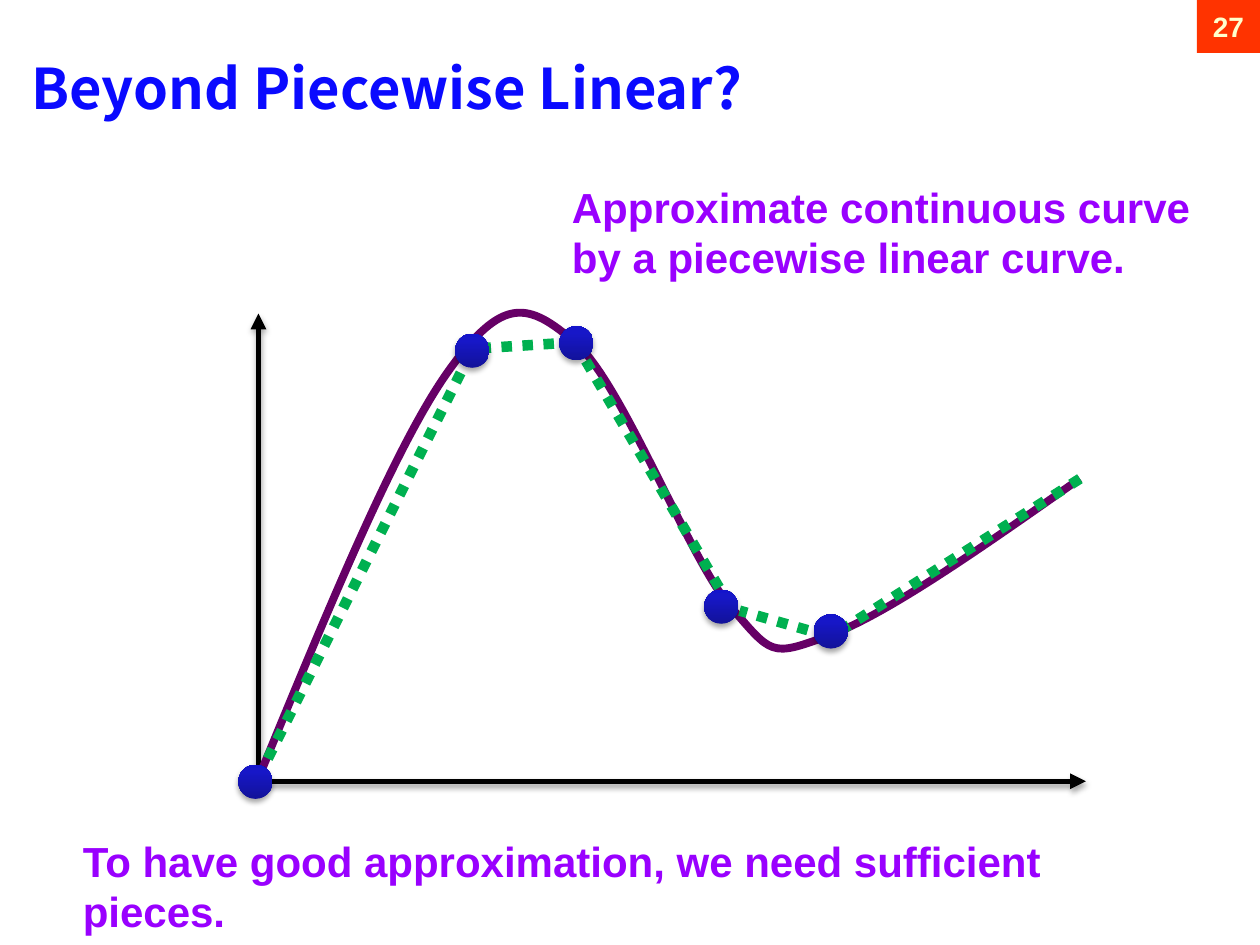
from lxml.etree import SubElement
from pptx import Presentation
from pptx.dml.color import RGBColor
from pptx.enum.dml import MSO_LINE
from pptx.enum.shapes import MSO_CONNECTOR, MSO_SHAPE
from pptx.enum.text import MSO_ANCHOR as Anchor, PP_ALIGN as Align
from pptx.oxml import parse_xml
from pptx.oxml.ns import nsdecls, qn
from pptx.util import Cm, Pt

BLUE, PURPLE, PLUM, GREEN = "0A0AFF", "9900FF", "660066", "00B050"
DOT_SIZE = 0.69
DOT_STOPS = [(0, "12129A"), (80, "1717C8"), (100, "1414CC")]
DOTS = [(4.31, 0.75), (6.41, 0.6), (9.33, 5.91), (11.54, 6.41), (-0.06, 9.44)]
CURVE = [
    (0, 9.37),
    (1.4, 5.97), (2.79, 2.59), (3.86, 1.12),
    (4.93, -0.36), (5.44, -0.23), (6.38, 0.58),
    (7.32, 1.37), (8.66, 4.9), (9.5, 5.89),
    (10.36, 6.88), (10.31, 6.93), (11.48, 6.5),
    (12.67, 6.07), (14.61, 4.7), (16.56, 3.33),
]
PIECES = [
    ((0, 9.35), (4.32, 0.71)),
    ((6.38, 0.58), (4.32, 0.71)),
    ((9.5, 5.89), (6.38, 0.58)),
    ((11.48, 6.5), (9.7, 5.99)),
    ((16.56, 3.33), (11.56, 6.5)),
]


def color(value):
    return RGBColor.from_string(value)


def write_text(shape, text, size=24, font="Arial", fill=PURPLE,
               align=Align.LEFT, anchor=Anchor.TOP):
    frame = shape.text_frame
    frame.word_wrap = True
    frame.vertical_anchor = anchor
    frame.margin_left = frame.margin_right = Cm(0.25)
    frame.margin_top = frame.margin_bottom = Cm(0.13)
    paragraph = frame.paragraphs[0]
    paragraph.text = text
    paragraph.alignment = align
    paragraph.font.name = font
    paragraph.font.size = Pt(size)
    paragraph.font.bold = True
    paragraph.font.color.rgb = color(fill)


def set_effects(shape, shadow=False):
    outer = ('<a:outerShdw blurRad="39370" dist="22860" dir="5400000" rotWithShape="0">'
             '<a:srgbClr val="000000"><a:alpha val="35000"/></a:srgbClr></a:outerShdw>')
    shape.element.spPr.append(parse_xml(
        f'<a:effectLst {nsdecls("a")}>{outer if shadow else ""}</a:effectLst>'))


def add_line(slide, start, end, fill, width, dash=None, arrow=False):
    line = slide.shapes.add_connector(
        MSO_CONNECTOR.STRAIGHT, *(Cm(value) for value in (*start, *end)))
    line.line.color.rgb = color(fill)
    line.line.width = Pt(width)
    if dash:
        line.line.dash_style = dash
    if arrow:
        SubElement(line.line._get_or_add_ln(), qn("a:tailEnd"), type="triangle")
    set_effects(line, shadow=arrow)


def add_curve(slide, points):
    points = [(Cm(x), Cm(y)) for x, y in points]
    builder = slide.shapes.build_freeform(*points[0])
    builder.add_line_segments(points[1:], close=False)
    curve = builder.convert_to_shape()
    outline = curve.element.xpath(".//a:path")[0]
    segments = outline.findall(qn("a:lnTo"))
    for first in range(0, len(segments), 3):
        bezier = SubElement(outline, qn("a:cubicBezTo"))
        for segment in segments[first:first + 3]:
            bezier.append(segment[0])
            outline.remove(segment)
    curve.fill.background()
    curve.line.color.rgb = color(PLUM)
    curve.line.width = Pt(4.5)
    curve.shadow.inherit = False


def add_dot(slide, x, y):
    dot = slide.shapes.add_shape(
        MSO_SHAPE.OVAL, Cm(x - DOT_SIZE / 2), Cm(y - DOT_SIZE / 2),
        Cm(DOT_SIZE), Cm(DOT_SIZE))
    stops = "".join(
        f'<a:gs pos="{position * 1000}"><a:srgbClr val="{value}"/></a:gs>'
        for position, value in DOT_STOPS)
    dot.element.spPr.append(parse_xml(
        f'<a:gradFill {nsdecls("a")} rotWithShape="1"><a:gsLst>{stops}</a:gsLst>'
        '<a:lin ang="16200000" scaled="0"/></a:gradFill>'))
    dot.line.fill.background()
    set_effects(dot, shadow=True)


def add_plot(slide, left, top, width, height):
    def place(point):
        return left + point[0], top + point[1]

    for end in ((width, height), (0, 0)):
        add_line(slide, place((0, height)), place(end), "000000", 3, arrow=True)
    add_curve(slide, [place(point) for point in CURVE])
    for start, end in PIECES:
        add_line(slide, place(start), place(end), GREEN, 6, dash=MSO_LINE.ROUND_DOT)
    for point in DOTS:
        add_dot(slide, *place(point))


def add_title(slide, *box):
    title = slide.shapes.title
    title.left, title.top, title.width, title.height = (Cm(value) for value in box)
    write_text(title, "Beyond Piecewise Linear?", size=32, font="Noto Sans CJK SC",
               fill=BLUE, anchor=Anchor.MIDDLE)


def add_note(slide, text, *box):
    write_text(slide.shapes.add_textbox(*(Cm(value) for value in box)), text)


def add_page_number(slide, text, *box):
    badge = slide.shapes.add_shape(MSO_SHAPE.RECTANGLE, *(Cm(value) for value in box))
    badge.fill.solid()
    badge.fill.fore_color.rgb = color("FF3300")
    badge.line.fill.background()
    badge.shadow.inherit = False
    write_text(badge, text, size=16, fill="FFFFCC", align=Align.CENTER,
               anchor=Anchor.MIDDLE)


def main():
    presentation = Presentation()
    presentation.slide_width, presentation.slide_height = Cm(25.4), Cm(19.05)
    slide = presentation.slides.add_slide(presentation.slide_layouts[5])
    add_title(slide, 0.38, 0.61, 24.69, 2.31)
    add_plot(slide, 5.21, 6.32, 16.68, 9.43)
    add_note(slide, "To have good approximation, we need sufficient pieces.",
             1.42, 16.71, 22.6, 1.27)
    add_note(slide, "Approximate continuous curve by a piecewise linear curve.",
             11.28, 3.53, 14.05, 2.31)
    add_page_number(slide, "27", 24.13, 0, 1.27, 1.07)
    presentation.save("out.pptx")


if __name__ == "__main__":
    main()
